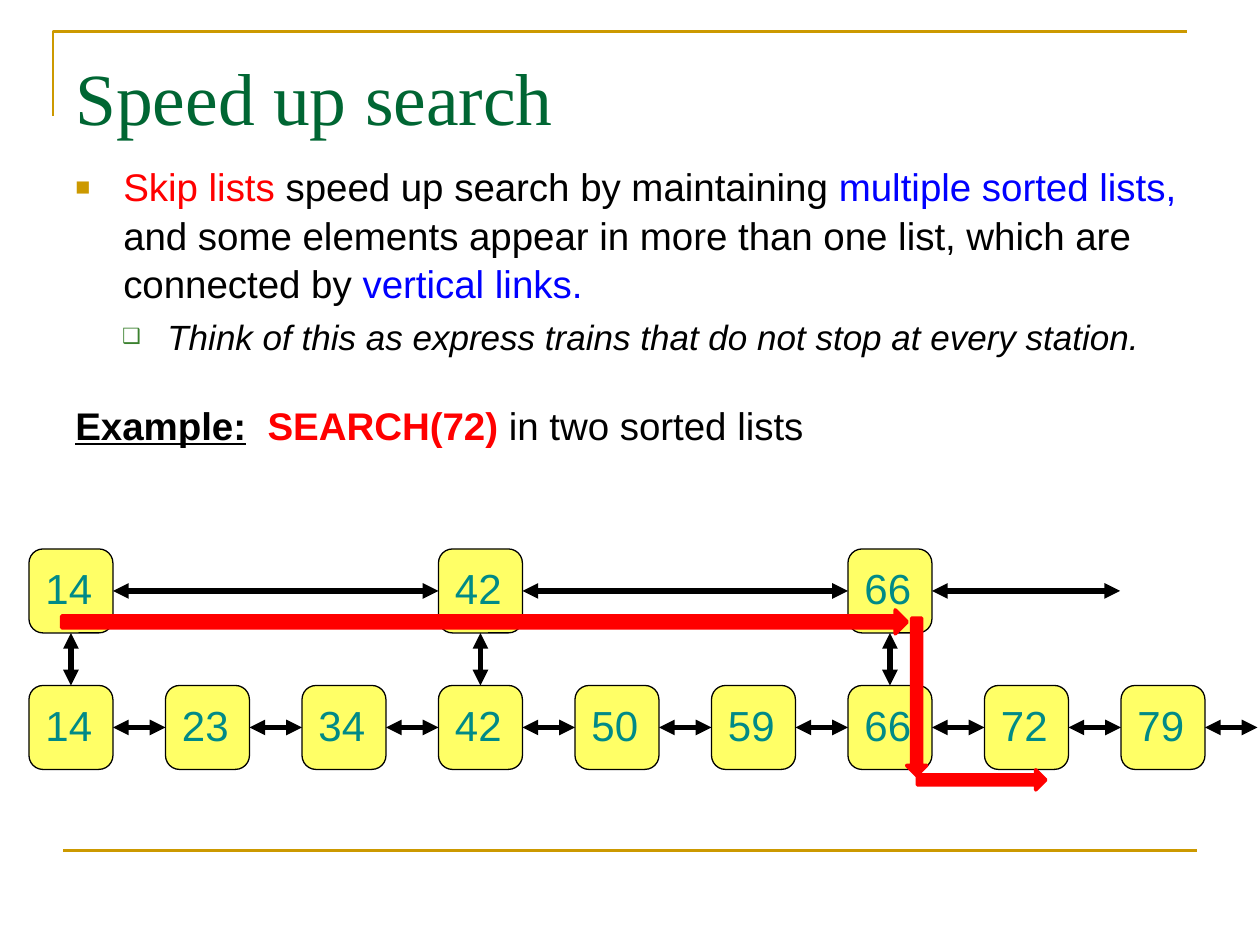
from dataclasses import dataclass

import lxml.etree
import pptx
import pptx.dml.color
import pptx.enum.shapes
import pptx.enum.text
import pptx.oxml.ns
import pptx.util

Inches, Pt = pptx.util.Inches, pptx.util.Pt
SHAPE = pptx.enum.shapes.MSO_SHAPE
ANCHOR = pptx.enum.text.MSO_ANCHOR
qn = pptx.oxml.ns.qn

GOLD, BLACK, RED, BLUE, GREEN = "CC9900", "000000", "FF0000", "0000FF", "3B812F"
TOP, LEFT, BOTTOM, RIGHT = range(4)

NODE = 2 / 3
PITCH = 13 / 12
FIRST_X = 0.23
LOWER_Y = 5.44
UPPER_Y = LOWER_Y - PITCH
LOWER_KEYS = [14, 23, 34, 42, 50, 59, 66, 72, 79]
UPPER_KEYS = [14, 42, 66]


@dataclass
class Span:
    text: str
    color: str = BLACK
    bold: bool = False
    italic: bool = False
    underline: bool = False


@dataclass
class Bullet:
    char: str
    color: str
    percent: int


@dataclass
class Para:
    spans: list[Span]
    size: float
    margin: float = 0.38
    indent: float = -0.38
    bullet: Bullet | None = None
    level: int = 0


@dataclass
class SearchStep:
    x: float
    y: float
    w: float
    h: float
    rotation: float = 0


BODY = [
    Para([Span("Skip lists ", RED),
          Span("speed up search by maintaining "),
          Span("multiple sorted lists, ", BLUE),
          Span("and some elements appear in more than one list, which are connected by "),
          Span("vertical links.", BLUE)],
         22, bullet=Bullet("■", GOLD, 65)),
    Para([Span("Think of this as express trains that do not stop at every station.",
               italic=True)],
         20, 0.73, -0.36, Bullet("❑", GREEN, 60), 1),
]
EXAMPLE = [
    Para([Span("Example:", bold=True, underline=True),
          Span("  ", GREEN),
          Span("SEARCH(72) ", RED, bold=True),
          Span("in two sorted lists")], 22),
]
SEARCH_PATH = [
    SearchStep(0.49, 4.84, 6.71, 0.19),
    SearchStep(7.28, 6.11, 1.02, 0.16),
    SearchStep(6.65, 5.45, 1.25, 0.16, 90),
]


def rgb(color: str):
    return pptx.dml.color.RGBColor.from_string(color)


def style_font(font, name: str, size: float, color: str) -> None:
    font.name = name
    font.size = Pt(size)
    font.color.rgb = rgb(color)


def style_shape(sp, fill: str, line: str, width: float) -> None:
    sp.shadow.inherit = False
    sp.fill.solid()
    sp.fill.fore_color.rgb = rgb(fill)
    sp.line.color.rgb = rgb(line)
    sp.line.width = Pt(width)


def add_line(s, start, end, color: str, width: float, arrows: bool = False):
    cn = s.shapes.add_connector(pptx.enum.shapes.MSO_CONNECTOR.STRAIGHT,
                                *(Inches(v) for v in (*start, *end)))
    cn.line.color.rgb = rgb(color)
    cn.line.width = Pt(width)
    if arrows:
        ln = cn.line._get_or_add_ln()
        for tag in ("a:headEnd", "a:tailEnd"):
            lxml.etree.SubElement(ln, qn(tag), type="triangle")
    lxml.etree.SubElement(cn._element.spPr, qn("a:effectLst"))
    return cn


def add_text_box(s, x: float, y: float, w: float, h: float):
    tf = s.shapes.add_textbox(Inches(x), Inches(y), Inches(w), Inches(h)).text_frame
    tf.word_wrap = True
    return tf


def add_bullet(p, bullet: Bullet) -> None:
    pPr = p._p.get_or_add_pPr()
    clr = lxml.etree.SubElement(pPr, qn("a:buClr"))
    lxml.etree.SubElement(clr, qn("a:srgbClr"), val=bullet.color)
    lxml.etree.SubElement(pPr, qn("a:buSzPct"), val=str(bullet.percent * 1000))
    lxml.etree.SubElement(pPr, qn("a:buFont"), typeface="Arial")
    lxml.etree.SubElement(pPr, qn("a:buChar"), char=bullet.char)


def write_paragraphs(tf, paras: list[Para]) -> None:
    for i, para in enumerate(paras):
        p = tf.add_paragraph() if i else tf.paragraphs[0]
        p.level = para.level
        p.line_spacing = 1.05
        p.space_before = Pt(para.size * 0.2)
        pPr = p._p.get_or_add_pPr()
        pPr.set("marL", str(Inches(para.margin)))
        pPr.set("indent", str(Inches(para.indent)))
        if para.bullet:
            add_bullet(p, para.bullet)
        for span in para.spans:
            r = p.add_run()
            r.text = span.text
            style_font(r.font, "Arial", para.size, span.color)
            r.font.bold = span.bold
            r.font.italic = span.italic
            r.font.underline = span.underline


def add_node(s, key: int, y: float):
    """Place a key in the column it has in the lower list."""
    x = FIRST_X + LOWER_KEYS.index(key) * PITCH
    sp = s.shapes.add_shape(SHAPE.ROUNDED_RECTANGLE, Inches(x), Inches(y),
                            Inches(NODE), Inches(NODE))
    style_shape(sp, "FFFF66", BLACK, 0.75)
    tf = sp.text_frame
    tf.word_wrap = False
    tf.vertical_anchor = ANCHOR.MIDDLE
    p = tf.paragraphs[0]
    p.text = str(key)
    p.alignment = pptx.enum.text.PP_ALIGN.LEFT
    p.line_spacing = 0.9
    style_font(p.runs[0].font, "Arial", 24, "008A87")
    return sp


def link(s, a, a_site: int, b, b_site: int) -> None:
    cn = add_line(s, (0, 0), (0, 0), BLACK, 3, arrows=True)
    cn.begin_connect(a, a_site)
    cn.end_connect(b, b_site)


def add_list(s, keys: list[int], y: float, end_x: float) -> dict:
    """Draw a linked list whose last link runs on to end_x."""
    nodes = {key: add_node(s, key, y) for key in keys}
    for a, b in zip(keys, keys[1:]):
        link(s, nodes[a], RIGHT, nodes[b], LEFT)
    mid_y = y + NODE / 2
    tail = add_line(s, (end_x, mid_y), (end_x, mid_y), BLACK, 3, arrows=True)
    tail.begin_connect(nodes[keys[-1]], RIGHT)
    return nodes


def main() -> None:
    prs = pptx.Presentation()
    prs.slide_width, prs.slide_height = Inches(10), Inches(7.5)
    s = prs.slides.add_slide(prs.slide_layouts[6])

    fb = s.shapes.build_freeform(Inches(0.42), Inches(0.92))
    fb.add_line_segments([(Inches(0.42), Inches(0.25)), (Inches(9.42), Inches(0.25))],
                         close=False)
    corner = fb.convert_to_shape()
    style_shape(corner, GOLD, GOLD, 1.5)
    corner.fill.background()
    add_line(s, (0.5, 6.75), (9.5, 6.75), GOLD, 1.5)

    tf = add_text_box(s, 0.5, 0.3, 9, 0.93)
    tf.vertical_anchor = ANCHOR.MIDDLE
    tf.text = "Speed up search"
    style_font(tf.paragraphs[0].runs[0].font, "Times New Roman", 42, "006633")
    write_paragraphs(add_text_box(s, 0.5, 1.23, 9.15, 2.68), BODY)
    write_paragraphs(add_text_box(s, 0.5, 3.12, 8.5, 0.83), EXAMPLE)

    lower = add_list(s, LOWER_KEYS, LOWER_Y, 9.98)
    upper = add_list(s, UPPER_KEYS, UPPER_Y, 8.89)
    for key in UPPER_KEYS:
        link(s, upper[key], BOTTOM, lower[key], TOP)

    for step in SEARCH_PATH:
        sp = s.shapes.add_shape(SHAPE.RIGHT_ARROW, Inches(step.x), Inches(step.y),
                                Inches(step.w), Inches(step.h))
        sp.rotation = step.rotation
        style_shape(sp, RED, RED, 2)

    prs.save("out.pptx")


if __name__ == "__main__":
    main()
